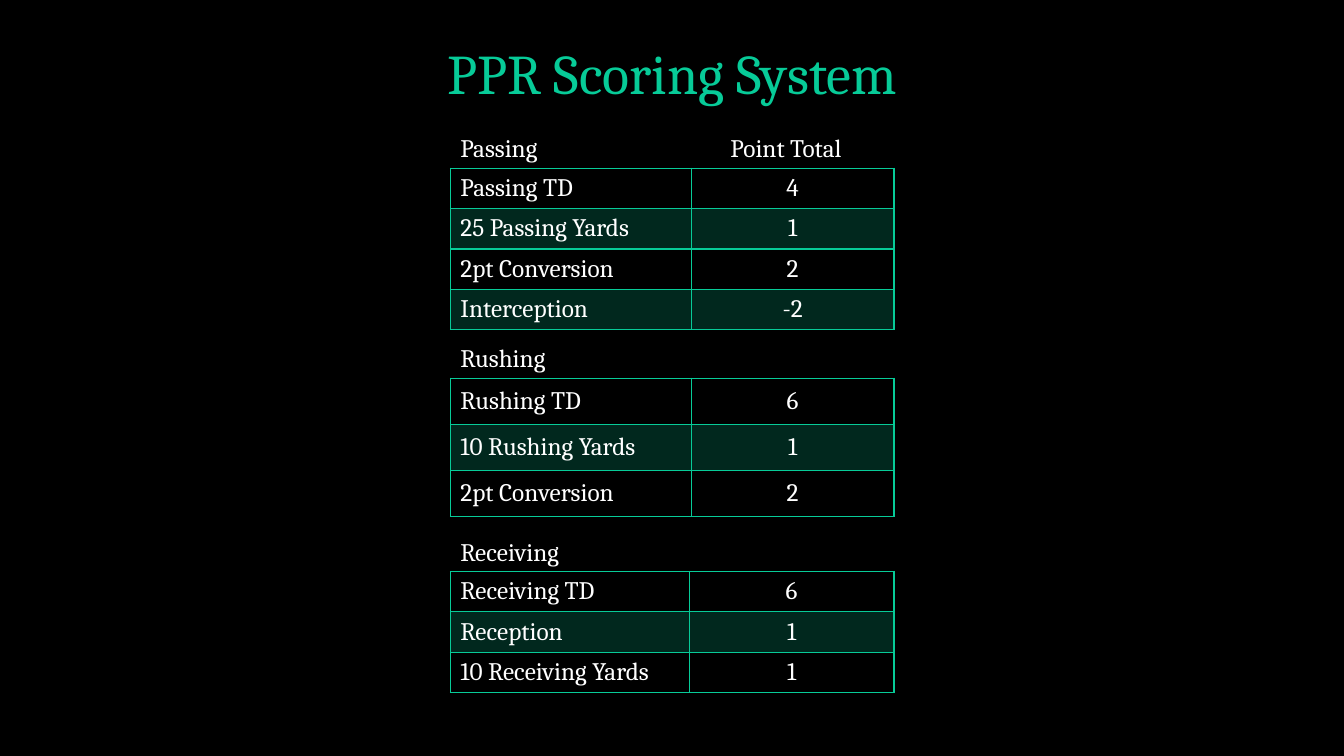
from dataclasses import dataclass

from lxml.etree import fromstring
from pptx import Presentation
from pptx.dml.color import RGBColor
from pptx.enum.text import MSO_ANCHOR, PP_ALIGN
from pptx.oxml.ns import qn
from pptx.util import Cm, Pt

DRAWING_NAMESPACE = "http://schemas.openxmlformats.org/drawingml/2006/main"


@dataclass(frozen=True)
class Theme:
    """Colours, font and type sizes of the slide."""

    background: str = "000000"
    accent: str = "07CB98"
    text: str = "FFFFFF"
    font: str = "Cambria"
    title_size: int = 40
    body_size: int = 18
    border_width: int = 1
    band_opacity: int = 20


THEME = Theme()
TABLE_LEFT = 11.35
TABLE_WIDTH = 11.18
LABEL_HEIGHT = 1.02

SECTIONS = [
    ("Passing", 4.24, 6.07, 0.99,
     [("Passing TD", "4"), ("25 Passing Yards", "1"),
      ("2pt Conversion", "2"), ("Interception", "-2")]),
    ("Rushing", 9.53, 6.07, 1.16,
     [("Rushing TD", "6"), ("10 Rushing Yards", "1"), ("2pt Conversion", "2")]),
    ("Receiving", 14.4, 6.02, 0.99,
     [("Receiving TD", "6"), ("Reception", "1"), ("10 Receiving Yards", "1")]),
]


def write_text(text_frame, text, size, color, alignment=PP_ALIGN.LEFT):
    """Write one formatted paragraph into a text frame."""
    text_frame.text = text
    paragraph = text_frame.paragraphs[0]
    paragraph.alignment = alignment
    font = paragraph.runs[0].font
    font.name = THEME.font
    font.size = Pt(size)
    font.color.rgb = RGBColor.from_string(color)
    return paragraph


def add_title(slide, text):
    """Add the centred slide title."""
    shape = slide.shapes.add_textbox(Cm(3.61), Cm(1.02), Cm(26.67), Cm(1.8))
    shape.text_frame.word_wrap = True
    shape.text_frame.vertical_anchor = MSO_ANCHOR.BOTTOM
    paragraph = write_text(shape.text_frame, text, THEME.title_size,
                           THEME.accent, PP_ALIGN.CENTER)
    paragraph.line_spacing = 0.9


def add_label(slide, text, left, top, width):
    """Add a heading above a table column."""
    shape = slide.shapes.add_textbox(Cm(left), Cm(top), Cm(width), Cm(LABEL_HEIGHT))
    shape.text_frame.word_wrap = True
    write_text(shape.text_frame, text, THEME.body_size, THEME.text)


def fill_cell(cell, banded):
    """Give a banded cell a translucent accent fill and leave others clear."""
    if not banded:
        cell.fill.background()
        return
    cell.fill.solid()
    cell.fill.fore_color.rgb = RGBColor.from_string(THEME.accent)
    color = cell._tc.tcPr.find(".//" + qn("a:srgbClr"))
    color.append(fromstring(
        f'<a:alpha xmlns:a="{DRAWING_NAMESPACE}" val="{THEME.band_opacity * 1000}"/>'))


def border_cell(cell):
    """Draw an accent line on all four sides of a cell."""
    for position, side in enumerate(("lnL", "lnR", "lnT", "lnB")):
        line = fromstring(
            f'<a:{side} xmlns:a="{DRAWING_NAMESPACE}" w="{Pt(THEME.border_width)}">'
            f'<a:solidFill><a:srgbClr val="{THEME.accent}"/></a:solidFill>'
            f'<a:prstDash val="solid"/></a:{side}>')
        cell._tc.get_or_add_tcPr().insert(position, line)


def add_score_table(slide, top, name_width, row_height, scores):
    """Add a two-column table of plays and their points."""
    table = slide.shapes.add_table(
        len(scores), 2, Cm(TABLE_LEFT), Cm(top),
        Cm(TABLE_WIDTH), Cm(row_height * len(scores))).table
    table.first_row = False
    table.horz_banding = False
    table.columns[0].width = Cm(name_width)
    table.columns[1].width = Cm(TABLE_WIDTH - name_width)
    for row_index, score in enumerate(scores):
        table.rows[row_index].height = Cm(row_height)
        for column_index, text in enumerate(score):
            cell = table.cell(row_index, column_index)
            cell.vertical_anchor = MSO_ANCHOR.MIDDLE
            alignment = PP_ALIGN.CENTER if column_index else PP_ALIGN.LEFT
            write_text(cell.text_frame, text, THEME.body_size, THEME.text, alignment)
            fill_cell(cell, banded=row_index % 2 == 1)
            border_cell(cell)


def main():
    """Build and save the scoring slide."""
    presentation = Presentation()
    presentation.slide_width = Cm(33.87)
    presentation.slide_height = Cm(19.05)
    slide = presentation.slides.add_slide(presentation.slide_layouts[6])
    slide.background.fill.solid()
    slide.background.fill.fore_color.rgb = RGBColor.from_string(THEME.background)

    add_title(slide, "PPR Scoring System")
    for name, top, name_width, row_height, scores in SECTIONS:
        add_label(slide, name, TABLE_LEFT, top - LABEL_HEIGHT, 3.4)
        add_score_table(slide, top, name_width, row_height, scores)
    add_label(slide, "Point Total", 18.16, SECTIONS[0][1] - LABEL_HEIGHT, 3.66)
    presentation.save("out.pptx")


if __name__ == "__main__":
    main()
